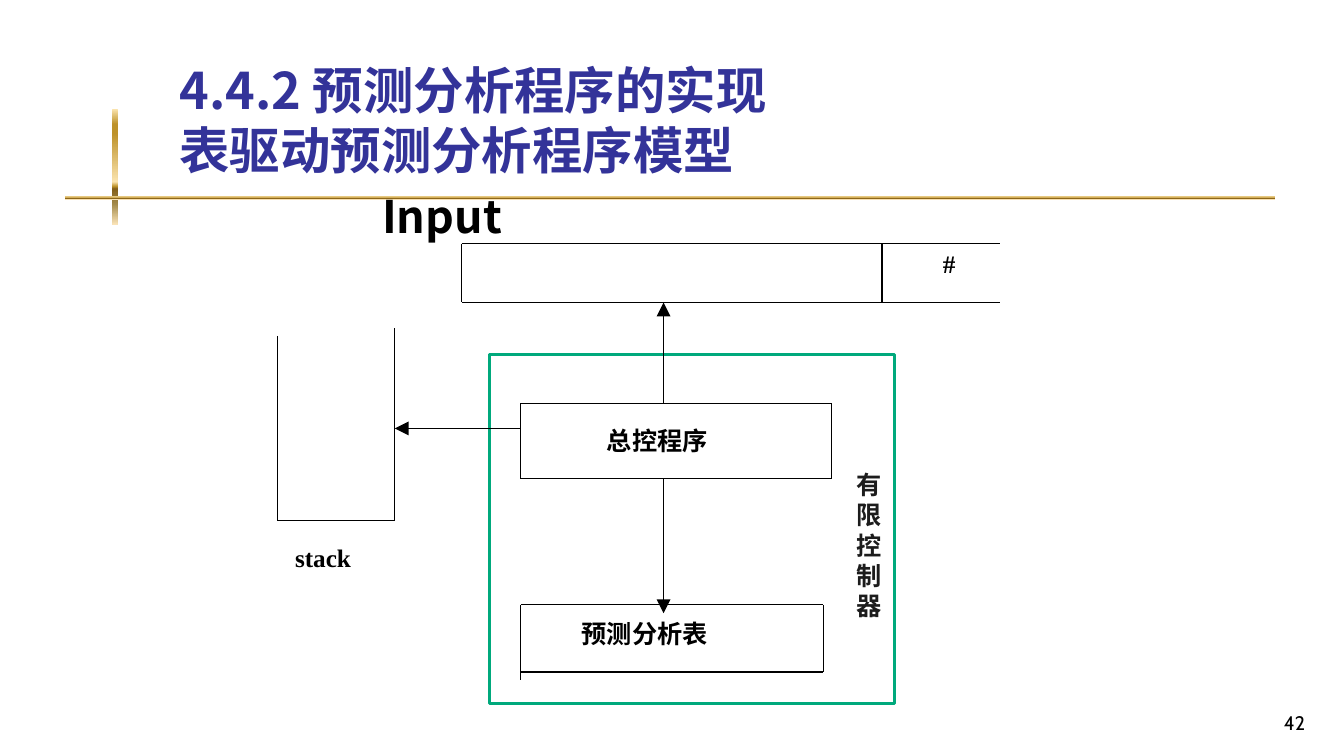
from dataclasses import dataclass

from lxml.etree import SubElement
from pptx import Presentation
from pptx.dml.color import RGBColor
from pptx.enum.shapes import MSO_CONNECTOR, MSO_SHAPE
from pptx.enum.text import MSO_ANCHOR, PP_ALIGN
from pptx.oxml.ns import qn
from pptx.shapes.autoshape import Shape
from pptx.slide import Slide
from pptx.text.text import _Run as Run
from pptx.util import Emu, Pt

EMU_PER_PX = 9525
SANS = "Noto Sans CJK SC"
SANS_JP = "Noto Sans CJK JP"
SERIF = "Times New Roman"
BLACK = "000000"
NAVY = "333399"
GOLD_STOPS = [
    (0, "FBE4AE"), (13, "BD922A"), (21, "BD922A"), (63, "FBE4AE"),
    (67, "BD922A"), (69, "835E17"), (82, "A28949"), (100, "FAE3B7"),
]


@dataclass
class Area:
    left: int
    top: int
    width: int
    height: int


@dataclass
class Label:
    text: str
    area: Area
    font: str = SANS
    size: int = 18
    color: str = BLACK
    bold: bool = True
    align: PP_ALIGN = PP_ALIGN.LEFT
    anchor: MSO_ANCHOR = MSO_ANCHOR.TOP
    side_inset: int = 10
    line_points: float | None = None


@dataclass
class Segment:
    x1: int
    y1: int
    x2: int
    y2: int
    arrow: bool = False


GOLD_BARS = [Area(107, 104, 5, 110), Area(62, 187, 1152, 3)]
CONTROLLER = Area(466, 338, 386, 332)

SEGMENTS = [
    Segment(264, 320, 264, 496),
    Segment(264, 496, 376, 496),
    Segment(376, 496, 376, 312),
    Segment(440, 232, 952, 232),
    Segment(440, 288, 952, 288),
    Segment(440, 232, 440, 288),
    Segment(840, 232, 840, 288),
    Segment(496, 384, 792, 384),
    Segment(792, 384, 792, 456),
    Segment(792, 456, 496, 456),
    Segment(496, 384, 496, 456),
    Segment(496, 576, 784, 576),
    Segment(784, 576, 784, 640),
    Segment(496, 640, 784, 640),
    Segment(496, 576, 496, 648),
    Segment(632, 384, 632, 288, arrow=True),
    Segment(496, 408, 376, 408, arrow=True),
    Segment(632, 456, 632, 584, arrow=True),
]

LABELS = [
    Label("42", Area(986, 656, 267, 48), "Cabin", 14, bold=False,
          align=PP_ALIGN.RIGHT, anchor=MSO_ANCHOR.BOTTOM),
    Label("Input", Area(354, 175, 160, 72), size=32),
    Label("#", Area(888, 232, 40, 38), SERIF),
    Label("总控程序", Area(568, 400, 140, 38)),
    Label("预测分析表", Area(544, 584, 160, 38)),
    Label("stack", Area(271, 512, 96, 38), SERIF),
    Label("有限控制器", Area(809, 383, 37, 272), SANS_JP, color="1C1C1C",
          align=PP_ALIGN.CENTER, anchor=MSO_ANCHOR.MIDDLE,
          side_inset=0, line_points=21.6),
]

TITLE = Label("", Area(161, 22, 1091, 154), size=36, color=NAVY,
              anchor=MSO_ANCHOR.BOTTOM, line_points=43.2)
TITLE_LINES = [
    [("4.4.2 预测分析程序的实现", SANS)],
    [("表驱动", SANS_JP), ("预测分析程序模型", SANS)],
]


def px(length: int) -> Emu:
    return Emu(length * EMU_PER_PX)


def rgb(color: str) -> RGBColor:
    return RGBColor.from_string(color)


def bounds(area: Area) -> tuple[Emu, ...]:
    return px(area.left), px(area.top), px(area.width), px(area.height)


def format_run(span: Run, label: Label, font: str) -> None:
    span.font.name = font
    span.font.size = Pt(label.size)
    span.font.bold = label.bold
    span.font.color.rgb = rgb(label.color)
    SubElement(span.font._element, qn("a:ea")).set("typeface", font)


def add_label(page: Slide, label: Label) -> Shape:
    box = page.shapes.add_textbox(*bounds(label.area))
    frame = box.text_frame
    frame.word_wrap = True
    frame.vertical_anchor = label.anchor
    frame.margin_left = frame.margin_right = px(label.side_inset)
    frame.text = label.text
    para = frame.paragraphs[0]
    para.alignment = label.align
    if label.line_points:
        para.line_spacing = Pt(label.line_points)
    for span in para.runs:
        format_run(span, label, label.font)
    return box


def add_title(page: Slide) -> None:
    para = add_label(page, TITLE).text_frame.paragraphs[0]
    for number, pieces in enumerate(TITLE_LINES):
        if number:
            para.add_line_break()
        for text, font in pieces:
            span = para.add_run()
            span.text = text
            format_run(span, TITLE, font)


def add_gold_bar(page: Slide, area: Area) -> None:
    bar = page.shapes.add_shape(MSO_SHAPE.RECTANGLE, *bounds(area))
    bar.shadow.inherit = False
    bar.line.fill.background()
    bar.fill.gradient()
    bar.fill.gradient_angle = 270
    stops = bar._element.spPr.find(qn("a:gradFill")).find(qn("a:gsLst"))
    for stop in list(stops):
        stops.remove(stop)
    for percent, color in GOLD_STOPS:
        stop = SubElement(stops, qn("a:gs"), pos=str(percent * 1000))
        SubElement(stop, qn("a:srgbClr"), val=color)


def add_controller(page: Slide) -> None:
    frame = page.shapes.add_shape(MSO_SHAPE.FLOWCHART_PROCESS, *bounds(CONTROLLER))
    frame.shadow.inherit = False
    frame.fill.background()
    frame.line.color.rgb = rgb("00A97C")
    frame.line.width = Pt(2)


def add_segment(page: Slide, segment: Segment) -> None:
    line = page.shapes.add_connector(
        MSO_CONNECTOR.STRAIGHT,
        px(segment.x1), px(segment.y1), px(segment.x2), px(segment.y2),
    )
    line.line.color.rgb = rgb(BLACK)
    line.line.width = Pt(0.75)
    if segment.arrow:
        outline = line._element.spPr.find(qn("a:ln"))
        SubElement(outline, qn("a:tailEnd"), type="triangle", w="lg", len="lg")
    SubElement(line._element.spPr, qn("a:effectLst"))


def main() -> None:
    deck = Presentation()
    deck.slide_width, deck.slide_height = px(1280), px(720)
    page = deck.slides.add_slide(deck.slide_layouts[6])
    for area in GOLD_BARS:
        add_gold_bar(page, area)
    add_controller(page)
    add_title(page)
    for segment in SEGMENTS:
        add_segment(page, segment)
    for label in LABELS:
        add_label(page, label)
    deck.save("out.pptx")


if __name__ == "__main__":
    main()
